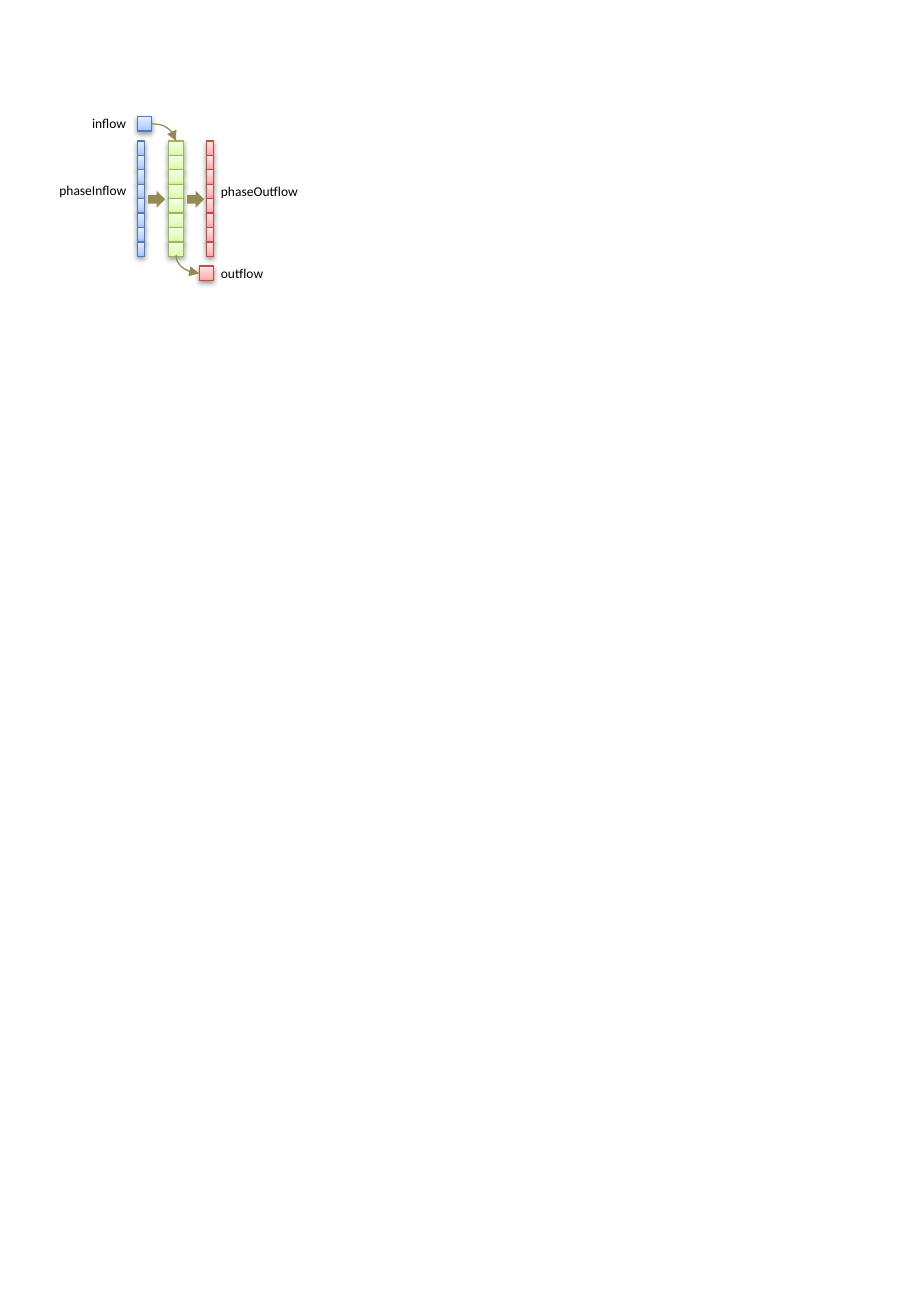
from dataclasses import dataclass

from lxml.etree import SubElement
from pptx import Presentation
from pptx.dml.color import RGBColor
from pptx.enum.shapes import MSO_CONNECTOR, MSO_SHAPE
from pptx.enum.text import MSO_AUTO_SIZE
from pptx.oxml import parse_xml
from pptx.oxml.ns import nsdecls, qn
from pptx.shapes.autoshape import Shape
from pptx.shapes.connector import Connector
from pptx.shapes.shapetree import GroupShapes, SlideShapes
from pptx.util import Inches, Pt


@dataclass(frozen=True)
class Palette:
    line: str
    stops: tuple[tuple[int, str], ...]


@dataclass(frozen=True)
class Theme:
    green: Palette = Palette("98B955", ((0, "DAFDA7"), (35, "E4FCC2"), (100, "F5FFE7")))
    red: Palette = Palette("BF4C48", ((0, "FFA6A5"), (35, "FFC0BF"), (100, "FFE7E7")))
    blue: Palette = Palette("4B7EBC", ((0, "A4C4FF"), (35, "BFD4FF"), (100, "E6EEFF")))
    arrow: str = "948A54"
    text: str = "000000"
    font: str = "Calibri"
    label_size: float = 8
    line_width: float = 0.75


@dataclass(frozen=True)
class Column:
    left: float
    top: float
    width: float
    palette: Palette


@dataclass(frozen=True)
class Cell:
    left: float
    top: float
    palette: Palette


@dataclass(frozen=True)
class Curve:
    start: tuple[float, float]
    end: tuple[float, float]
    leaves_downward: bool


@dataclass(frozen=True)
class Label:
    text: str
    left: float
    top: float
    width: float


THEME = Theme()
CELL_COUNT = 8
COLUMN_HEIGHT = 0.95
CELL_SIZE = COLUMN_HEIGHT / CELL_COUNT
LABEL_HEIGHT = 0.24
ARROW_SIZE = 0.14
ARROW_TOP = 1.57
ARROW_LEFTS = (1.22, 1.54)

COLUMNS = (
    Column(1.39, 1.16, CELL_SIZE, THEME.green),
    Column(1.70, 1.16, CELL_SIZE / 2, THEME.red),
    Column(1.13, 1.16, CELL_SIZE / 2, THEME.blue),
)
CELLS = (Cell(1.13, 0.96, THEME.blue), Cell(1.64, 2.19, THEME.red))
CURVES = (
    Curve((1.25, 1.02), (1.45, 1.16), leaves_downward=False),
    Curve((1.45, 2.1), (1.64, 2.25), leaves_downward=True),
)
LABELS = (
    Label("inflow", 0.66, 0.90, 0.49),
    Label("outflow", 1.72, 2.13, 0.56),
    Label("phaseInflow", 0.39, 1.45, 0.76),
    Label("phaseOutflow", 1.72, 1.46, 0.85),
)


def apply_gradient(shape: Shape, palette: Palette) -> None:
    """Fill from the bottom up with the stops of the palette."""
    stops = "".join(
        f'<a:gs pos="{position * 1000}"><a:srgbClr val="{color}"/></a:gs>'
        for position, color in palette.stops
    )
    gradient = parse_xml(
        f'<a:gradFill rotWithShape="1" {nsdecls("a")}><a:gsLst>{stops}</a:gsLst>'
        '<a:lin ang="16200000" scaled="0"/></a:gradFill>'
    )
    shape.element.spPr.find(qn("a:prstGeom")).addnext(gradient)


def apply_shadow(shape: Shape) -> None:
    shape.shadow.inherit = False
    effects = shape.element.spPr.find(qn("a:effectLst"))
    effects.append(parse_xml(
        f'<a:outerShdw blurRad="{Pt(3.1)}" dist="{Pt(1.6)}" dir="5400000" '
        f'rotWithShape="0" {nsdecls("a")}>'
        '<a:srgbClr val="000000"><a:alpha val="38000"/></a:srgbClr></a:outerShdw>'
    ))


def apply_line(shape: Shape | Connector, color: str) -> None:
    shape.line.color.rgb = RGBColor.from_string(color)
    shape.line.width = Pt(THEME.line_width)


def add_cell(shapes: SlideShapes | GroupShapes, cell: Cell, width: float) -> None:
    shape = shapes.add_shape(
        MSO_SHAPE.RECTANGLE,
        Inches(cell.left), Inches(cell.top), Inches(width), Inches(CELL_SIZE),
    )
    apply_gradient(shape, cell.palette)
    apply_line(shape, cell.palette.line)
    apply_shadow(shape)


def add_column(shapes: SlideShapes, column: Column) -> None:
    group = shapes.add_group_shape()
    for row in range(CELL_COUNT):
        cell = Cell(column.left, column.top + row * CELL_SIZE, column.palette)
        add_cell(group.shapes, cell, column.width)


def add_curve(shapes: SlideShapes, curve: Curve) -> None:
    """Draw a quarter curve; one that leaves downward is a mirrored curve turned by 270°."""
    (x1, y1), (x2, y2) = curve.start, curve.end
    if curve.leaves_downward:
        center_x, center_y = (x1 + x2) / 2, (y1 + y2) / 2
        half_width, half_height = (y2 - y1) / 2, (x2 - x1) / 2
        x1, x2 = center_x + half_width, center_x - half_width
        y1, y2 = center_y - half_height, center_y + half_height
    connector = shapes.add_connector(
        MSO_CONNECTOR.CURVE, Inches(x1), Inches(y1), Inches(x2), Inches(y2)
    )
    if curve.leaves_downward:
        connector.rotation = 270
    apply_line(connector, THEME.arrow)
    properties = connector.element.spPr
    properties.find(qn("a:prstGeom")).set("prst", "curvedConnector2")
    SubElement(properties.find(qn("a:ln")), qn("a:tailEnd"), type="triangle")
    SubElement(properties, qn("a:effectLst"))


def add_block_arrow(shapes: SlideShapes, left: float) -> None:
    arrow = shapes.add_shape(
        MSO_SHAPE.RIGHT_ARROW,
        Inches(left), Inches(ARROW_TOP), Inches(ARROW_SIZE), Inches(ARROW_SIZE),
    )
    arrow.fill.solid()
    arrow.fill.fore_color.rgb = RGBColor.from_string(THEME.arrow)
    arrow.line.fill.background()
    arrow.shadow.inherit = False


def add_label(shapes: SlideShapes, label: Label) -> None:
    box = shapes.add_textbox(
        Inches(label.left), Inches(label.top), Inches(label.width), Inches(LABEL_HEIGHT)
    )
    frame = box.text_frame
    frame.word_wrap = False
    frame.auto_size = MSO_AUTO_SIZE.SHAPE_TO_FIT_TEXT
    frame.text = label.text
    font = frame.paragraphs[0].runs[0].font
    font.name = THEME.font
    font.size = Pt(THEME.label_size)
    font.color.rgb = RGBColor.from_string(THEME.text)


def main() -> None:
    deck = Presentation()
    deck.slide_width, deck.slide_height = Inches(7.5), Inches(10.83)
    shapes = deck.slides.add_slide(deck.slide_layouts.get_by_name("Blank")).shapes
    for column in COLUMNS:
        add_column(shapes, column)
    for cell in CELLS:
        add_cell(shapes, cell, CELL_SIZE)
    for curve in CURVES:
        add_curve(shapes, curve)
    for left in ARROW_LEFTS:
        add_block_arrow(shapes, left)
    for label in LABELS:
        add_label(shapes, label)
    deck.save("out.pptx")


if __name__ == "__main__":
    main()
